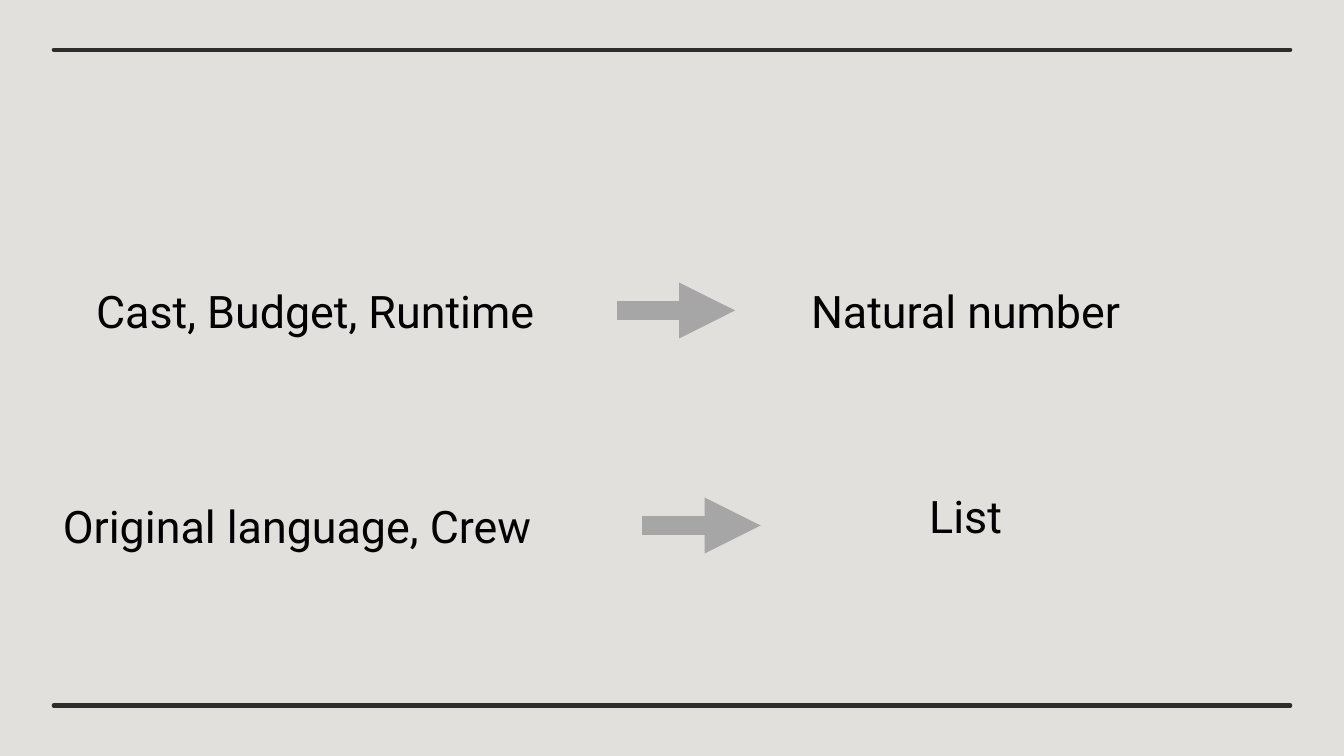
from lxml import etree
from pptx import Presentation
from pptx.dml.color import RGBColor
from pptx.enum.shapes import MSO_CONNECTOR
from pptx.enum.text import MSO_AUTO_SIZE, PP_ALIGN
from pptx.oxml.ns import qn
from pptx.util import Inches, Pt

STRAIGHT = MSO_CONNECTOR.STRAIGHT
GROW = MSO_AUTO_SIZE.SHAPE_TO_FIT_TEXT
LEFT, CENTER = PP_ALIGN.LEFT, PP_ALIGN.CENTER
FONT = "Roboto"
PAPER, INK, GREY, BLACK = "E1E0DC", "2D2D2C", "A6A6A6", "000000"


def paint(fill, color):
    fill.solid()
    fill.fore_color.rgb = RGBColor.from_string(color)


def add_line(slide, left, top, width, color, weight):
    line = slide.shapes.add_connector(
        STRAIGHT, Inches(left), Inches(top), Inches(left + width), Inches(top))
    paint(line.line.fill, color)
    line.line.width = Pt(weight)
    etree.SubElement(line._element.spPr, qn("a:effectLst"))
    return line


def add_arrow(slide, left, top, width):
    arrow = add_line(slide, left, top, width, GREY, 10)
    stroke = arrow.line._get_or_add_ln()
    etree.SubElement(stroke, qn("a:tailEnd"), type="triangle")


def add_label(slide, text, left, top, width, align):
    box = slide.shapes.add_textbox(
        Inches(left), Inches(top), Inches(width), Inches(0.5))
    frame = box.text_frame
    frame.word_wrap = True
    frame.auto_size = GROW
    para = frame.paragraphs[0]
    para.alignment = align
    run = para.add_run()
    run.text = text
    run.font.name = FONT
    run.font.size = Pt(24)
    paint(run.font.fill, BLACK)


def add_frame(slide, left, top, width, height):
    for edge in (top, top + height):
        rule = add_line(slide, left, edge, width, INK, 2.25)
        rule.line._get_or_add_ln().set("cap", "rnd")


def add_row(slide, top, source, target, arrow, drop=0):
    text, left, width, align = source
    add_label(slide, text, left, top, width, align)
    add_arrow(slide, arrow, top + 0.25, 0.88)
    add_label(slide, target, 5.72, top + drop, 2.93, CENTER)


def main():
    deck = Presentation()
    deck.slide_width = Inches(10)
    deck.slide_height = deck.slide_width * 9 // 16
    slide = deck.slides.add_slide(deck.slide_layouts[6])
    paint(slide.background.fill, PAPER)
    add_frame(slide, 0.4, 0.37, 9.2, 4.88)
    add_row(slide, 2.06, ("Cast, Budget, Runtime", 0.34, 4.01, CENTER),
            "Natural number", 4.59)
    add_row(slide, 3.66, ("Original language, Crew", 0.37, 4.47, LEFT),
            "List", 4.78, -0.07)
    deck.save("out.pptx")


if __name__ == "__main__":
    main()
